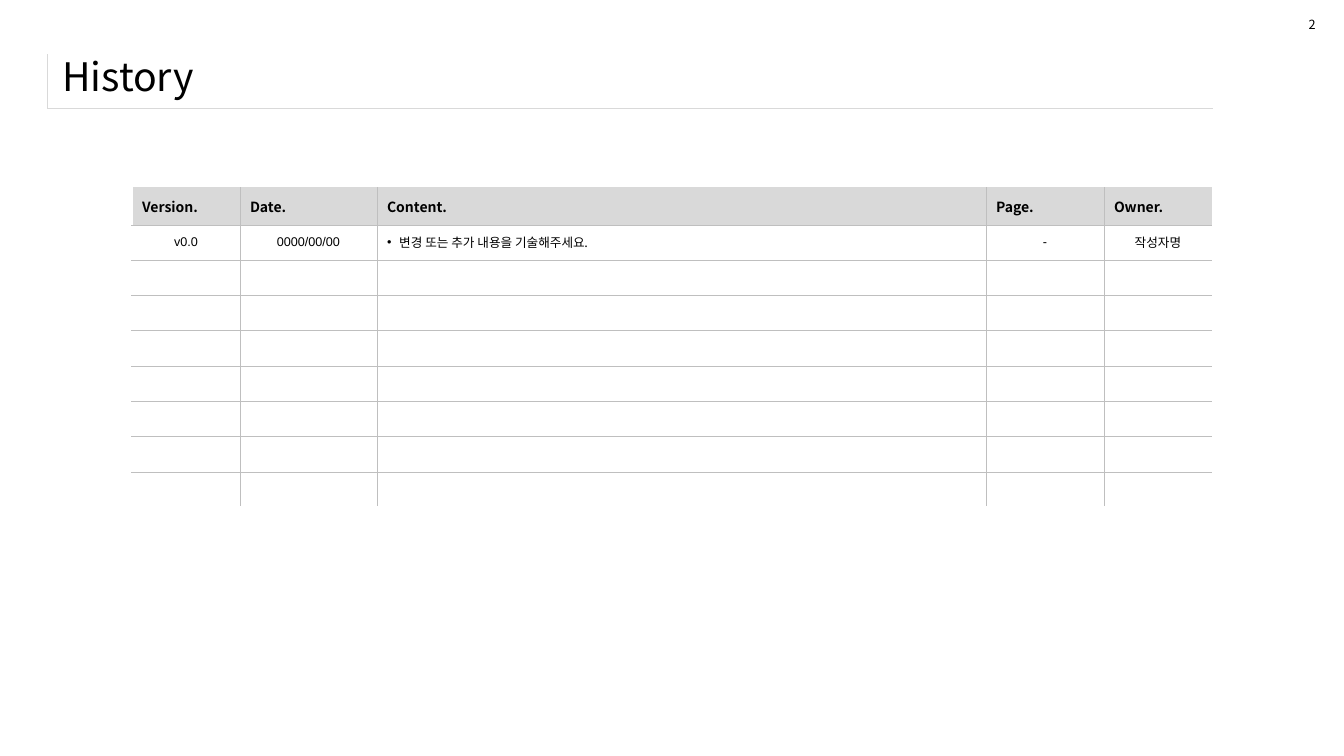
from lxml.etree import SubElement
from pptx import Presentation
from pptx.dml.color import RGBColor
from pptx.enum.text import MSO_ANCHOR as Anchor, PP_ALIGN as Align
from pptx.oxml.ns import qn
from pptx.util import Pt

PX = 9144  # 100 px to the inch
SANS, LATIN = "Noto Sans CJK KR", "Arial"
BLACK = RGBColor(0x00, 0x00, 0x00)
WHITE = RGBColor(0xFF, 0xFF, 0xFF)
LIGHT_GREY = RGBColor(0xD9, 0xD9, 0xD9)
GREY = RGBColor(0xBF, 0xBF, 0xBF)

COLUMNS = [("Version.", 107), ("Date.", 136), ("Content.", 604),
           ("Page.", 117), ("Owner.", 107)]
HEADER_H, ROW_H, BODY_ROWS = 37, 35, 8
FIRST_ENTRY = [("v0.0", LATIN), ("0000/00/00", LATIN),
               ("변경 또는 추가 내용을 기술해주세요.", SANS),
               ("-", LATIN), ("작성자명", SANS)]
CONTENT_COL = 2


def px(*lengths):
    return [n * PX for n in lengths]


def write(tf, text, size, font=SANS, bold=False, align=Align.LEFT, bullet=False):
    p = tf.paragraphs[0]
    p.alignment = align
    if bullet:
        pPr = p._p.get_or_add_pPr()
        indent = 12 * PX
        pPr.set("marL", str(indent))
        pPr.set("indent", str(-indent))
        SubElement(pPr, qn("a:buFont"), typeface="Arial")
        SubElement(pPr, qn("a:buChar"), char="•")
    r = p.add_run()
    r.text = text
    r.font.size, r.font.name, r.font.bold = Pt(size), font, bold
    r.font.color.rgb = BLACK
    SubElement(r._r.get_or_add_rPr(), qn("a:ea"), typeface=font)


def add_text(slide, box, text, size, anchor=Anchor.TOP, wrap=True):
    tf = slide.shapes.add_textbox(*px(*box)).text_frame
    tf.word_wrap = wrap
    tf.vertical_anchor = anchor
    write(tf, text, size)


def style_cell(cell, fill=None, **borders):
    """Set the fill and the L, R, T, B borders, each a (colour, points) pair."""
    tcPr = cell._tc.get_or_add_tcPr()
    for side in "LRTB":
        color, width = borders.get(side) or (None, 0)
        ln = SubElement(tcPr, qn(f"a:ln{side}"), w=str(Pt(width)))
        if color is None:
            SubElement(ln, qn("a:noFill"))
        else:
            SubElement(SubElement(ln, qn("a:solidFill")), qn("a:srgbClr"), val=str(color))
    if fill is None:
        cell.fill.background()
    else:
        cell.fill.solid()
        cell.fill.fore_color.rgb = fill
    cell.vertical_anchor = Anchor.MIDDLE
    cell.text_frame.paragraphs[0]._p.get_or_add_endParaRPr().set("sz", "900")


def add_grid(slide, left, top, widths, heights):
    table = slide.shapes.add_table(len(heights), len(widths),
                                   *px(left, top, sum(widths), sum(heights))).table
    table.first_row = table.horz_banding = False
    for col, w in zip(table.columns, widths):
        col.width = w * PX
    for row, h in zip(table.rows, heights):
        row.height = h * PX
    return table


def add_title(slide, left, top, width, height):
    frame = add_grid(slide, left, top, [width], [height])
    hairline = (LIGHT_GREY, 0.25)
    style_cell(frame.cell(0, 0), L=hairline, B=hairline)
    add_text(slide, (left + 5, top - 10, 1249, height + 10), "History", 28, Anchor.MIDDLE)


def add_history(slide, left, top):
    table = add_grid(slide, left, top, [w for _, w in COLUMNS],
                     [HEADER_H] + [ROW_H] * BODY_ROWS)
    thin, white = (GREY, 0.25), (WHITE, 1)
    last_col = len(COLUMNS) - 1
    for i in range(BODY_ROWS + 1):
        for j in range(len(COLUMNS)):
            style_cell(table.cell(i, j), LIGHT_GREY if i == 0 else None,
                       L=thin if j else white,
                       R=thin if j < last_col else None,
                       T=thin if i else None,
                       B=thin if i < BODY_ROWS else white)
    for j, (heading, _) in enumerate(COLUMNS):
        write(table.cell(0, j).text_frame, heading, 10, bold=True)
    for j, (text, font) in enumerate(FIRST_ENTRY):
        is_content = j == CONTENT_COL
        write(table.cell(1, j).text_frame, text, 9, font, bullet=is_content,
              align=Align.LEFT if is_content else Align.CENTER)


def main():
    prs = Presentation()
    prs.slide_width, prs.slide_height = px(1333, 750)
    slide = prs.slides.add_slide(prs.slide_layouts[6])
    add_title(slide, 47, 54, 1156, 53)
    add_history(slide, 131, 186)
    add_text(slide, (1288, 12, 27, 25), "2", 9, wrap=False)
    prs.save("out.pptx")


if __name__ == "__main__":
    main()
